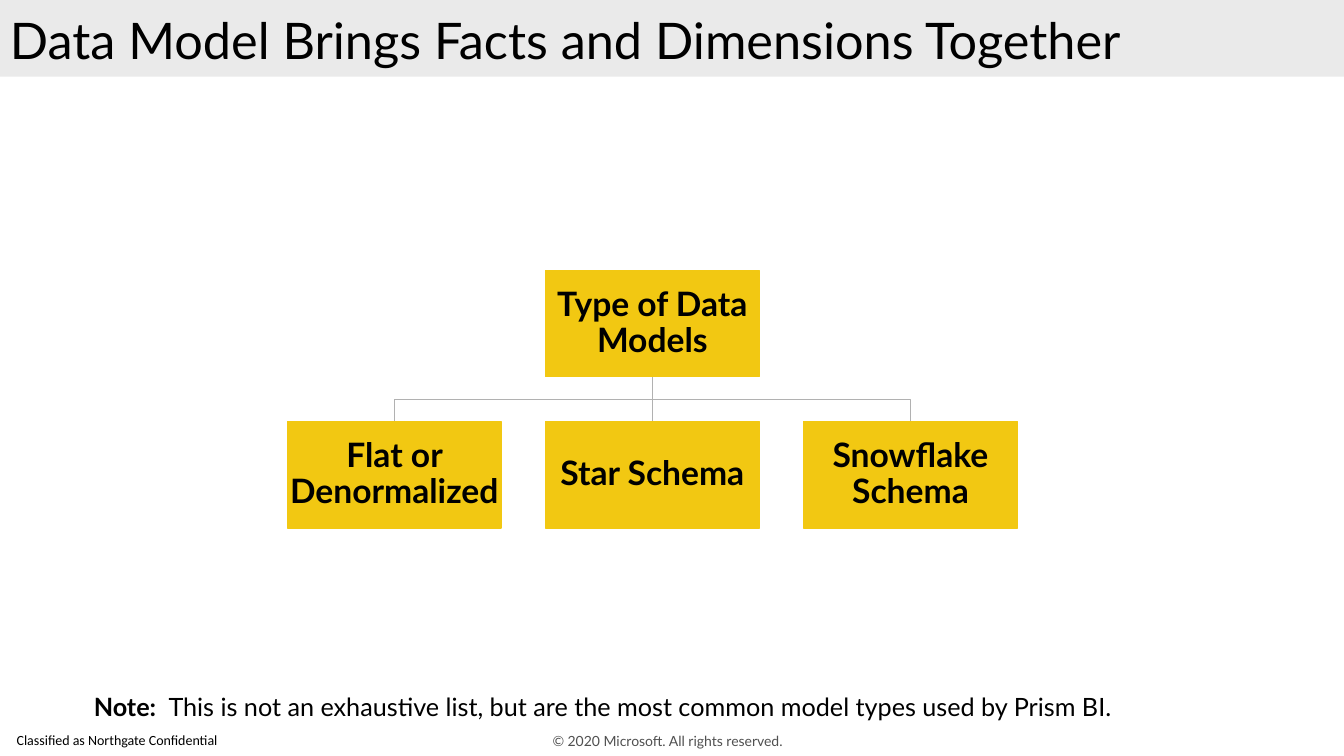
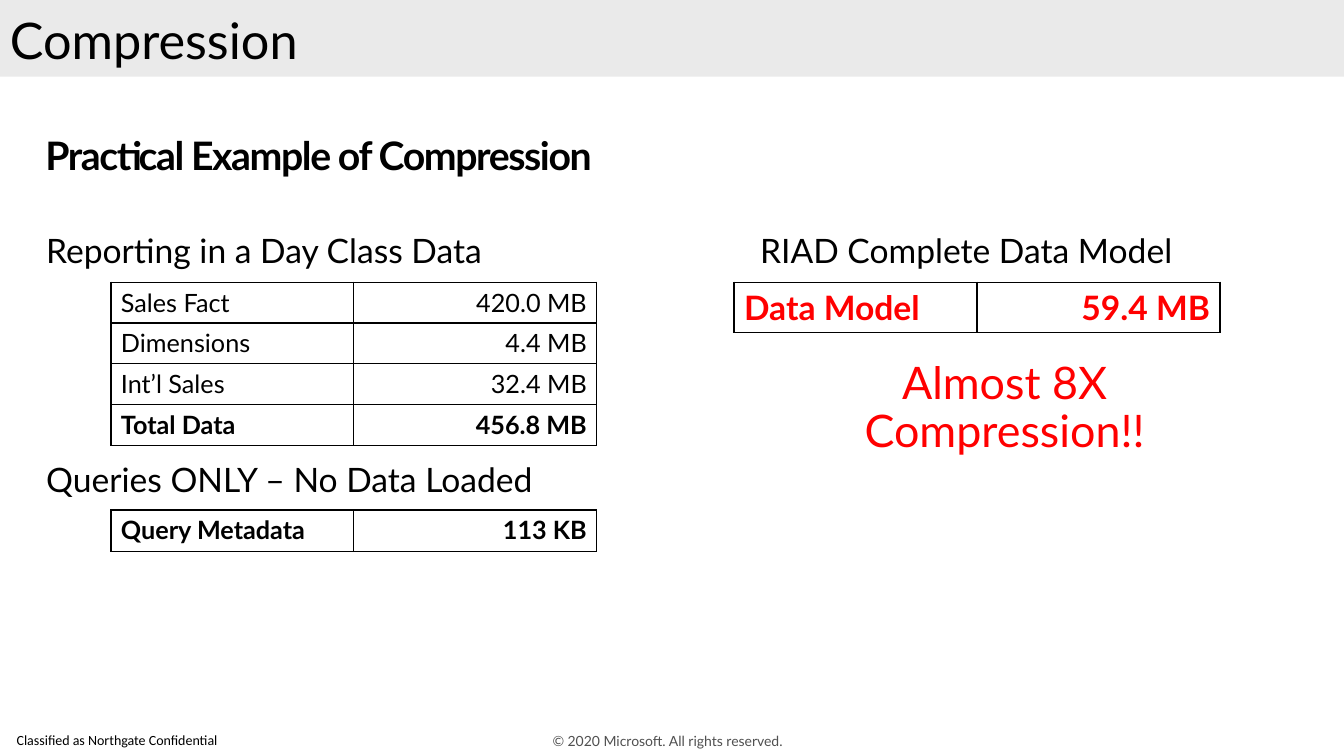
from dataclasses import dataclass

from lxml import etree
from pptx import Presentation
from pptx.dml.color import RGBColor
from pptx.enum.shapes import MSO_CONNECTOR, MSO_SHAPE
from pptx.enum.text import MSO_ANCHOR, PP_ALIGN
from pptx.oxml.ns import qn
from pptx.util import Inches, Pt

RECT = MSO_SHAPE.RECTANGLE
STRAIGHT = MSO_CONNECTOR.STRAIGHT
TOP, MIDDLE = MSO_ANCHOR.TOP, MSO_ANCHOR.MIDDLE
LEFT, CENTER, RIGHT = PP_ALIGN.LEFT, PP_ALIGN.CENTER, PP_ALIGN.RIGHT

COLORS = {
    "black": "000000",
    "gray": "505050",
    "band": "EAEAEA",
    "link": "B1B1B1",
    "gold": "F2C812",
    "red": "FF0000",
}
FONT = "Lato"
WIDTH, HEIGHT = 13.33, 7.5
BOX_W, BOX_H, GAP = 2.12, 1.06, 0.44
COL_W = 2.41


@dataclass(frozen=True)
class Style:
    size: float
    color: str = "black"
    bold: bool = False
    font: str = FONT
    align: PP_ALIGN = LEFT
    anchor: MSO_ANCHOR = TOP
    leading: float = 0.9
    inset: tuple[float, float, float, float] = (0.1, 0.05, 0.1, 0.05)
    track: int = 0


@dataclass(frozen=True)
class Label:
    text: str
    area: tuple[float, float, float, float]
    style: Style


@dataclass(frozen=True)
class Grid:
    left: float
    top: float
    row_h: float
    rows: list[tuple[str, str]]
    size: float = 18
    color: str = "black"
    total: bool = True


TITLE = Style(36, leading=1)
HEAD = Style(28, bold=True, inset=(0.16, 0.1, 0.16, 0.1), track=-100)
BODY = Style(24)
SHOUT = Style(32, "red", align=CENTER)
NODE = Style(24, bold=True, align=CENTER, anchor=MIDDLE, inset=(0.02,) * 4)
NOTE = Style(18, inset=(0.2, 0.16, 0.2, 0.16))
CLASS = Style(10, font="Calibri", align=CENTER, anchor=MIDDLE, inset=(0,) * 4)
RIGHTS = Style(10, "gray", align=CENTER, anchor=MIDDLE, leading=1,
               inset=(0, 0, 0.1, 0))

FOOTERS = [
    Label("Classified as Northgate Confidential", (0, 7.21, 2.32, 0.29), CLASS),
    Label("© 2020 Microsoft. All rights reserved.", (4.42, 7.23, 4.5, 0.25), RIGHTS),
]
MODELS = ["Flat or Denormalized", "Star Schema", "Snowflake Schema"]
LABELS = [
    Label("Practical Example of Compression", (0.29, 1.26, 12.75, 0.57), HEAD),
    Label("Reporting in a Day Class Data", (0.36, 2.28, 5.56, 0.46), BODY),
    Label("Queries ONLY – No Data Loaded", (0.36, 4.55, 5.56, 0.46), BODY),
    Label("RIAD Complete Data Model", (7.44, 2.28, 4.51, 0.46), BODY),
    Label("Almost 8X Compression!!", (7.71, 3.53, 4.51, 1.07), SHOUT),
]
GRIDS = [
    Grid(1.1, 2.8, 0.405, [
        ("Sales Fact", "420.0 MB"),
        ("Dimensions", "4.4 MB"),
        ("Int’l Sales", "32.4 MB"),
        ("Total Data", "456.8 MB"),
    ]),
    Grid(1.1, 5.06, 0.41, [("Query Metadata", "113 KB")]),
    Grid(7.28, 2.8, 0.5, [("Data Model", "59.4 MB")], 24, "red"),
]


def rgb(name: str) -> RGBColor:
    return RGBColor.from_string(COLORS[name])


def add_run(para, text: str, style: Style, bold: bool) -> None:
    run = para.add_run()
    run.text = text
    font = run.font
    font.name, font.size, font.bold = style.font, Pt(style.size), bold
    font.color.rgb = rgb(style.color)
    if style.track:
        font._element.set("spc", str(style.track))


def write(frame, text: str, style: Style, lead: str = "") -> None:
    """Fill a text frame, with an optional bold lead-in."""
    frame.word_wrap = True
    frame.vertical_anchor = style.anchor
    (frame.margin_left, frame.margin_top,
     frame.margin_right, frame.margin_bottom) = map(Inches, style.inset)
    para = frame.paragraphs[0]
    para.alignment, para.line_spacing = style.align, style.leading
    if lead:
        add_run(para, lead, style, True)
    add_run(para, text, style, style.bold)


def add_text(slide, label: Label, lead: str = "") -> None:
    box = slide.shapes.add_textbox(*map(Inches, label.area))
    write(box.text_frame, label.text, label.style, lead)


def add_rect(slide, area: tuple[float, float, float, float], color: str):
    rect = slide.shapes.add_shape(RECT, *map(Inches, area))
    rect.shadow.inherit = False
    rect.fill.solid()
    rect.fill.fore_color.rgb = rgb(color)
    rect.line.fill.background()
    return rect


def add_node(slide, text: str, left: float, top: float) -> None:
    node = add_rect(slide, (left, top, BOX_W, BOX_H), "gold")
    node.line.color.rgb = rgb("gold")
    node.line.width = Pt(0.85)
    write(node.text_frame, text, NODE)


def add_link(slide, start: tuple[float, float], end: tuple[float, float]) -> None:
    """Join two points, with a bend halfway down if they are not in line."""
    (x1, y1), (x2, y2) = start, end
    if x1 == x2:
        link = slide.shapes.add_connector(STRAIGHT, *map(Inches, (x1, y1, x2, y2)))
        etree.SubElement(link._element.spPr, qn("a:effectLst"))
    else:
        mid = (y1 + y2) / 2
        path = slide.shapes.build_freeform(Inches(x1), Inches(y1))
        path.add_line_segments(
            [(Inches(x), Inches(y)) for x, y in ((x1, mid), (x2, mid), end)],
            close=False)
        link = path.convert_to_shape()
        link.shadow.inherit = False
        link.fill.background()
    link.line.color.rgb = rgb("link")
    link.line.width = Pt(0.85)


def add_edges(cell) -> None:
    """Draw a thin black line on all four sides of a cell."""
    props = cell._tc.get_or_add_tcPr()
    for spot, side in enumerate(("lnL", "lnR", "lnT", "lnB")):
        edge = etree.Element(qn(f"a:{side}"), w=str(Pt(1)))
        fill = etree.SubElement(edge, qn("a:solidFill"))
        etree.SubElement(fill, qn("a:srgbClr"), val=COLORS["black"])
        props.insert(spot, edge)


def add_grid(slide, grid: Grid) -> None:
    count = len(grid.rows)
    area = (grid.left, grid.top, 2 * COL_W, count * grid.row_h)
    table = slide.shapes.add_table(count, 2, *map(Inches, area)).table
    table.first_row = table.horz_banding = False
    for col in table.columns:
        col.width = Inches(COL_W)
    for r, texts in enumerate(grid.rows):
        table.rows[r].height = Inches(grid.row_h)
        bold = grid.total and r == count - 1
        for c, (text, align) in enumerate(zip(texts, (LEFT, RIGHT))):
            cell = table.cell(r, c)
            cell.fill.background()
            add_edges(cell)
            para = cell.text_frame.paragraphs[0]
            para.alignment = align
            add_run(para, text, Style(grid.size, grid.color), bold)


def add_slide(deck, title: str):
    """Start a slide with the shared band, title and footers."""
    slide = deck.slides.add_slide(deck.slide_layouts[6])
    add_rect(slide, (0, 0, WIDTH, 0.76), "band")
    add_text(slide, Label(title, (0, 0.04, 12.53, 0.72), TITLE))
    for label in FOOTERS:
        add_text(slide, label)
    return slide


def draw_types(deck) -> None:
    slide = add_slide(deck, "Data Model Brings Facts and Dimensions Together")
    left, top = 2.85, 2.68
    step = BOX_W + GAP
    low = top + BOX_H + GAP
    spots = [left + i * step for i in range(len(MODELS))]
    root = spots[1]
    for x in spots:
        add_link(slide, (root + BOX_W / 2, top + BOX_H), (x + BOX_W / 2, low))
    add_node(slide, "Type of Data Models", root, top)
    for text, x in zip(MODELS, spots):
        add_node(slide, text, x, low)
    note = ("This is not an exhaustive list, but are the most common "
            "model types used by Prism BI.")
    add_text(slide, Label(note, (0.73, 6.76, 12.31, 0.6), NOTE), "Note:  ")


def draw_sizes(deck) -> None:
    slide = add_slide(deck, "Compression")
    for label in LABELS:
        add_text(slide, label)
    for grid in GRIDS:
        add_grid(slide, grid)


def main() -> None:
    deck = Presentation()
    deck.slide_width, deck.slide_height = Inches(WIDTH), Inches(HEIGHT)
    draw_types(deck)
    draw_sizes(deck)
    deck.save("out.pptx")


if __name__ == "__main__":
    main()
